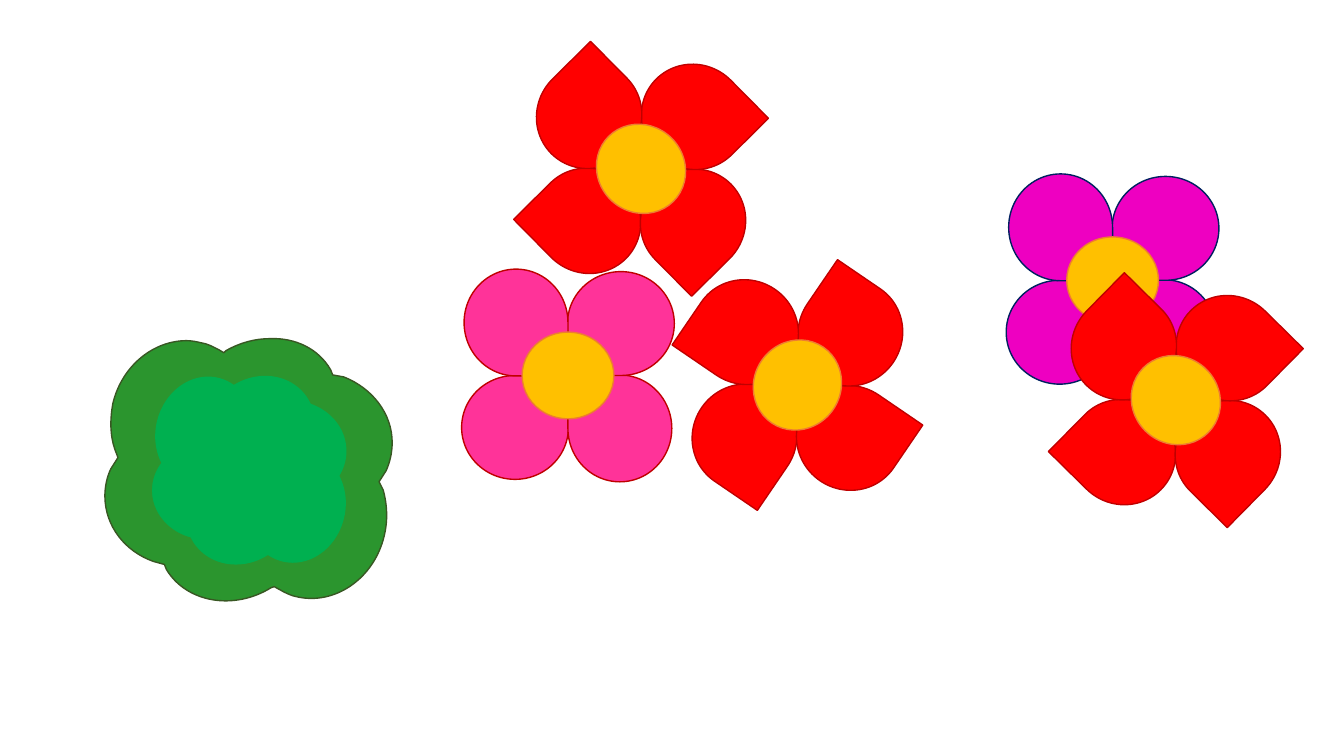
import math

from lxml import etree
from pptx import Presentation, util as u
from pptx.dml.color import RGBColor
from pptx.enum import shapes as s
from pptx.oxml import ns

YELLOW, ORANGE = "FFC000", "ED7D31"
RED, DARK_RED, PINK = "FF0000", "C00000", "FF3399"
PURPLE, NAVY = "EE00C1", "002060"
LEAF, BUSH, BUSH_EDGE = "00B050", "2B952E", "385723"

FLOWER_SIZE = 152
PETAL_SIZE = (76.3, 74.2)
EYE_SIZE = (65.5, 61.9)

# left, top, petal tilt, petal colour, petal edge
BOUQUET = [
    (329.7, 192.2, 0, PINK, DARK_RED),
    (493.6, 199, 124.3, RED, DARK_RED),
    (381.9, 44.6, 225.3, RED, DARK_RED),
]
LOOSE_FLOWERS = [
    (718.7, 124.2, 0, PURPLE, NAVY),
    (763.9, 209.8, 224.6, RED, DARK_RED),
]

# The bush is laid out on a grid 285 units wide; its outline sits in a turned frame.
BUSH_GRID_WIDTH = 285
BUSH_CENTER = (143, 130)
BUSH_FRAME = (268, 292)
BUSH_TILT = 103.5
BUSH_START = (164, 0)
# Two numbers: straight to a point. Six numbers: a Bezier curve.
BUSH_OUTLINE = [
    (189, -1, 212, 10, 224, 31), (226, 36), (237, 38),
    (265, 49, 285, 74, 285, 103), (285, 113, 283, 122, 279, 131),
    (272, 142), (276, 150),
    (280, 164, 281, 180, 277, 196), (267, 238, 228, 265, 190, 256),
    (185, 255, 181, 253, 177, 251), (168, 246), (165, 247),
    (128, 270, 81, 262, 61, 229), (59, 224), (48, 221),
    (20, 211, 0, 186, 0, 156), (0, 147, 2, 137, 6, 129),
    (13, 118), (10, 110),
    (5, 96, 5, 80, 8, 64), (17, 27, 48, 2, 81, 2),
    (86, 2, 91, 3, 95, 4), (102, 5, 107, 8, 113, 11),
    (118, 14), (120, 12), (134, 4, 149, 0, 164, 0),
]
# left, top, width, height, rotation, edge
BUSH_LEAVES = [
    (46, 101, 109, 99, 0, BUSH),
    (80, 123, 109, 99, 328.5, LEAF),
    (134, 118, 111, 97, 283.5, LEAF),
    (130, 62, 109, 99, 180, LEAF),
    (100, 39, 109, 99, 148.5, LEAF),
    (44, 45, 111, 97, 103.5, LEAF),
]


def color(hex_code):
    return RGBColor.from_string(hex_code)


def paint(shape, fill, edge):
    shape.shadow.inherit = False
    shape.fill.solid()
    shape.fill.fore_color.rgb = color(fill)
    shape.line.color.rgb = color(edge)
    shape.line.width = u.Pt(1)


def add_part(parts, preset, left, top, width, height, rotation, fill, edge):
    part = parts.add_shape(preset, u.Pt(left), u.Pt(top), u.Pt(width), u.Pt(height))
    part.rotation = rotation % 360
    paint(part, fill, edge)


def draw_flower(parts, left, top, tilt, fill, edge):
    """Four petals, each a quarter turn on from the last, around a yellow eye."""
    center_x, center_y = left + FLOWER_SIZE / 2, top + FLOWER_SIZE / 2

    def add_centered(preset, dx, dy, size, rotation, fill, edge):
        width, height = size
        add_part(parts, preset, center_x + dx - width / 2, center_y + dy - height / 2,
                 width, height, rotation, fill, edge)

    dx, dy = -37.8, 37.1
    for quarter in range(4):
        add_centered(s.MSO_SHAPE.TEAR, dx, dy, PETAL_SIZE, tilt - 90 * quarter, fill, edge)
        dx, dy = dy, -dx
    add_centered(s.MSO_SHAPE.OVAL, 0, 0, EYE_SIZE, tilt, YELLOW, ORANGE)


def in_frame(x, y, scale):
    """Turn a grid point back by the tilt and measure it from the frame's corner."""
    angle = math.radians(-BUSH_TILT)
    dx, dy = x - BUSH_CENTER[0], y - BUSH_CENTER[1]
    turned_x = dx * math.cos(angle) - dy * math.sin(angle)
    turned_y = dx * math.sin(angle) + dy * math.cos(angle)
    return (u.Pt((turned_x + BUSH_FRAME[0] / 2) * scale),
            u.Pt((turned_y + BUSH_FRAME[1] / 2) * scale))


def draw_bush_outline(parts, left, top, scale):
    width, height = (u.Pt(side * scale) for side in BUSH_FRAME)
    builder = parts.build_freeform(*in_frame(*BUSH_START, scale))
    builder.add_line_segments([in_frame(*segment[-2:], scale) for segment in BUSH_OUTLINE])
    outline = builder.convert_to_shape()
    outline.left = u.Pt(left + (BUSH_CENTER[0] - BUSH_FRAME[0] / 2) * scale)
    outline.top = u.Pt(top + (BUSH_CENTER[1] - BUSH_FRAME[1] / 2) * scale)
    outline.width, outline.height = width, height
    outline.rotation = BUSH_TILT
    paint(outline, BUSH, BUSH_EDGE)

    contour = outline.element.find(".//" + ns.qn("a:path"))
    for old_step in list(contour):
        contour.remove(old_step)
    contour.set("w", str(int(width)))
    contour.set("h", str(int(height)))

    def add_step(tag, numbers):
        step = etree.SubElement(contour, ns.qn(tag))
        for x, y in zip(numbers[::2], numbers[1::2]):
            frame_x, frame_y = in_frame(x, y, scale)
            etree.SubElement(step, ns.qn("a:pt"), x=str(int(frame_x)), y=str(int(frame_y)))

    add_step("a:moveTo", BUSH_START)
    for segment in BUSH_OUTLINE:
        add_step("a:lnTo" if len(segment) == 2 else "a:cubicBezTo", segment)
    add_step("a:close", ())


def draw_bush(parts, left, top, width):
    scale = width / BUSH_GRID_WIDTH
    draw_bush_outline(parts, left, top, scale)
    for x, y, leaf_width, leaf_height, rotation, edge in BUSH_LEAVES:
        add_part(parts, s.MSO_SHAPE.TEAR, left + x * scale, top + y * scale,
                 leaf_width * scale, leaf_height * scale, rotation, LEAF, edge)


def main():
    deck = Presentation()
    deck.slide_width, deck.slide_height = u.Pt(960), u.Pt(540)
    slide = deck.slides.add_slide(deck.slide_layouts[6])

    bouquet = slide.shapes.add_group_shape()
    for flower in BOUQUET:
        draw_flower(bouquet.shapes, *flower)
    for flower in LOOSE_FLOWERS:
        draw_flower(slide.shapes, *flower)
    bush = slide.shapes.add_group_shape()
    draw_bush(bush.shapes, 74.9, 241.9, 205.2)

    deck.save("out.pptx")


if __name__ == "__main__":
    main()
